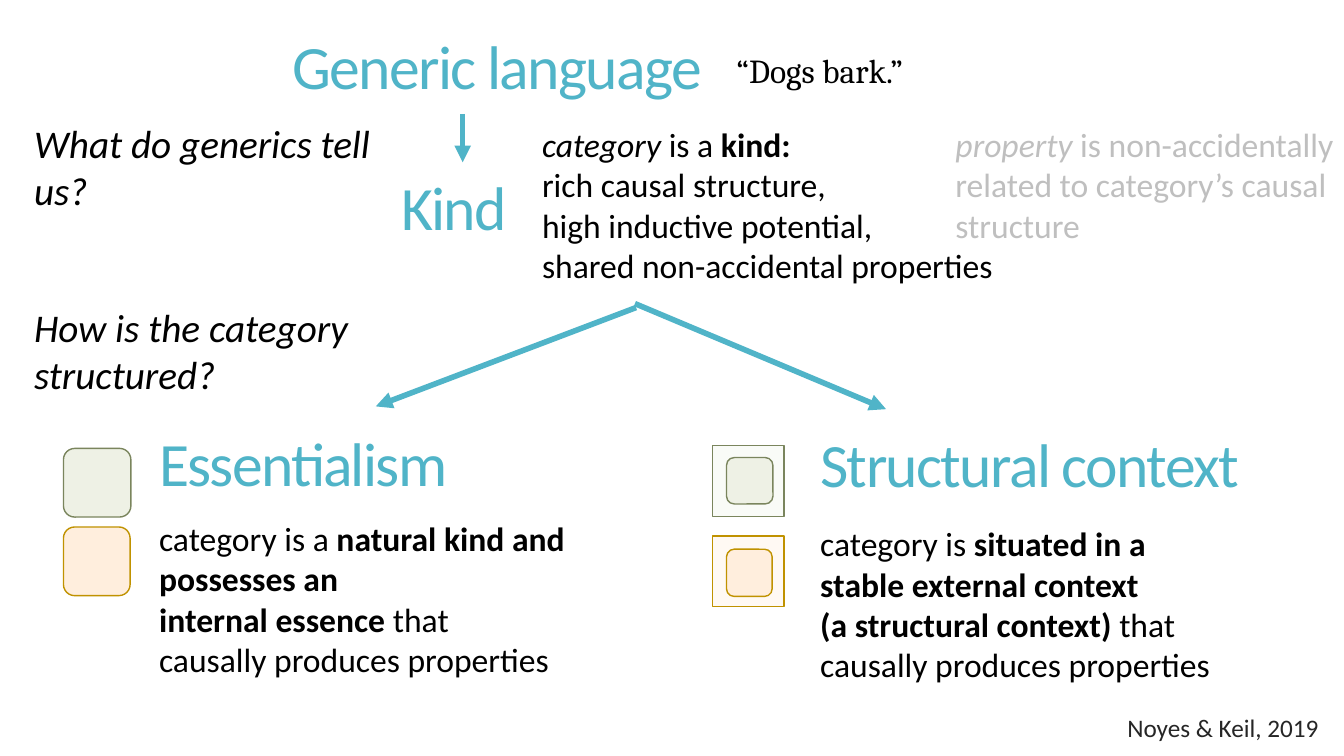
from dataclasses import dataclass
from typing import Any, NamedTuple

from lxml import etree
from pptx import Presentation
from pptx.dml.color import RGBColor
from pptx.enum import shapes, text
from pptx.oxml import ns
from pptx.util import Cm, Pt

TEAL = RGBColor(0x50, 0xB4, 0xC8)
BLACK = RGBColor(0x00, 0x00, 0x00)
CHARCOAL = RGBColor(0x26, 0x26, 0x26)
GREY = RGBColor(0xBF, 0xBF, 0xBF)
OLIVE = RGBColor(0x7A, 0x85, 0x5D)
SAGE = RGBColor(0xEE, 0xF1, 0xE5)
PALE_SAGE = RGBColor(0xF9, 0xFB, 0xF7)
GOLD = RGBColor(0xC0, 0x92, 0x00)
PEACH = RGBColor(0xFF, 0xEE, 0xDD)
PALE_PEACH = RGBColor(0xFF, 0xF9, 0xF3)

LEFT, CENTER, RIGHT = text.PP_ALIGN.LEFT, text.PP_ALIGN.CENTER, text.PP_ALIGN.RIGHT
GROW = {"auto_size": text.MSO_AUTO_SIZE.SHAPE_TO_FIT_TEXT, "word_wrap": True}
MIDDLE = {"auto_size": text.MSO_AUTO_SIZE.NONE, "word_wrap": True,
          "vertical_anchor": text.MSO_ANCHOR.MIDDLE}


class Box(NamedTuple):
    left: float
    top: float
    width: float
    height: float


class Span(NamedTuple):
    words: str
    emphasis: dict[str, bool] = {}


BOLD = {"bold": True}
ITALIC = {"italic": True}


@dataclass(frozen=True)
class Style:
    font: dict[str, Any]
    color: RGBColor
    frame: dict[str, Any]
    paragraph: dict[str, Any]
    tracking: int = 0


@dataclass(frozen=True)
class Passage:
    box: Box
    style: Style
    paragraphs: list[list[Span]]


@dataclass(frozen=True)
class Tile:
    box: Box
    preset: shapes.MSO_SHAPE
    fill: RGBColor
    outline: RGBColor


class Arrow(NamedTuple):
    start: tuple[float, float]
    end: tuple[float, float]


HEADING_FONT = {"name": "Calibri", "size": Pt(44), "bold": False}
HEADING = Style(HEADING_FONT, TEAL, MIDDLE, {"alignment": LEFT, "line_spacing": 0.85}, -120)
CENTERED = Style(HEADING_FONT, TEAL, MIDDLE, {"alignment": CENTER, "line_spacing": 0.85}, -120)
BODY = Style({"name": "Calibri", "size": Pt(24)}, BLACK, GROW, {})
FADED = Style(BODY.font, GREY, GROW, {})
QUESTION = Style({"name": "Calibri", "size": Pt(28), "italic": True}, BLACK, GROW, {})
EXAMPLE = Style({"name": "Cambria", "size": Pt(24)}, BLACK, GROW | {"word_wrap": False}, {})
CITATION = Style({"name": "Calibri", "size": Pt(18)}, CHARCOAL, {"word_wrap": True},
                 {"alignment": RIGHT, "line_spacing": 0.85})

TITLE = Passage(Box(20.42, 10.67, 12.55, 2.26), HEADING, [[Span("Structural context")]])
PASSAGES = [
    Passage(Box(7.09, -0.74, 10.87, 5.03), CENTERED, [[Span("Generic language")]]),
    Passage(Box(18.31, 1.14, 4.95, 1.27), EXAMPLE, [[Span("“Dogs bark.”")]]),
    Passage(Box(0.61, 2.87, 10.08, 1.45), QUESTION, [[Span("What do generics tell us?")]]),
    Passage(Box(9.86, 4.19, 4.7, 2.29), HEADING, [[Span("Kind")]]),
    Passage(Box(13.41, 3, 12.7, 4.37), BODY, [
        [Span("category", ITALIC), Span(" is a "), Span("kind:", BOLD)],
        [Span("rich causal structure, \nhigh inductive potential, \n"
              "shared non-accidental properties")]]),
    Passage(Box(23.83, 3, 10.06, 3.33), FADED, [
        [Span("property ", ITALIC),
         Span("is non-accidentally related to category’s causal structure")]]),
    Passage(Box(0.61, 7.52, 12.7, 1.45), QUESTION, [[Span("How is the category structured?")]]),
    Passage(Box(3.76, 10.64, 8.99, 2.29), HEADING, [[Span("Essentialism")]]),
    Passage(Box(3.76, 12.93, 10.95, 4.37), BODY, [
        [Span("category is a "),
         Span("natural kind and possesses an \ninternal essence ", BOLD),
         Span("that \ncausally produces properties")]]),
    Passage(Box(20.42, 13.06, 10.95, 4.37), BODY, [
        [Span("category is "),
         Span("situated in a stable external context \n(a structural context)", BOLD),
         Span(" that causally produces properties")]]),
    Passage(Box(15.24, 17.93, 18.24, 1.09), CITATION, [[Span("Noyes & Keil, 2019")]]),
]

ROUNDED, SQUARE = shapes.MSO_SHAPE.ROUNDED_RECTANGLE, shapes.MSO_SHAPE.RECTANGLE
TILES = [
    Tile(Box(1.6, 11.3, 1.7, 1.73), ROUNDED, SAGE, OLIVE),
    Tile(Box(1.6, 13.28, 1.68, 1.73), ROUNDED, PEACH, GOLD),
    Tile(Box(17.96, 11.23, 1.8, 1.78), SQUARE, PALE_SAGE, OLIVE),
    Tile(Box(17.96, 13.51, 1.8, 1.78), SQUARE, PALE_PEACH, GOLD),
    Tile(Box(18.31, 11.53, 1.17, 1.17), ROUNDED, SAGE, OLIVE),
    Tile(Box(18.31, 13.84, 1.15, 1.19), ROUNDED, PEACH, GOLD),
]

ARROWS = [
    Arrow((11.66, 2.87), (11.66, 4.09)),
    Arrow((16, 7.65), (22.33, 10.67 - 0.36)),
    Arrow((16.03, 7.75), (9.47, 10.24)),
]


def apply(target: Any, values: dict[str, Any]) -> None:
    for attribute, value in values.items():
        setattr(target, attribute, value)


def write_span(paragraph: Any, span: Span, style: Style) -> None:
    """Add the words as runs, with a line break at each newline."""
    for index, line in enumerate(span.words.split("\n")):
        if index:
            paragraph.add_line_break()
        if not line:
            continue
        run = paragraph.add_run()
        run.text = line
        apply(run.font, style.font | span.emphasis)
        run.font.color.rgb = style.color
        if style.tracking:
            run._r.get_or_add_rPr().set("spc", str(style.tracking))


def fill_passage(holder: Any, passage: Passage) -> None:
    apply(holder, {side: Cm(value) for side, value in passage.box._asdict().items()})
    frame = holder.text_frame
    apply(frame, passage.style.frame)
    for index, spans in enumerate(passage.paragraphs):
        paragraph = frame.add_paragraph() if index else frame.paragraphs[0]
        apply(paragraph, passage.style.paragraph)
        for span in spans:
            write_span(paragraph, span, passage.style)


def draw_tile(slide: Any, tile: Tile) -> None:
    square = slide.shapes.add_shape(tile.preset, *map(Cm, tile.box))
    square.shadow.inherit = False
    square.fill.solid()
    square.fill.fore_color.rgb = tile.fill
    square.line.color.rgb = tile.outline
    square.line.width = Pt(1)


def draw_arrow(slide: Any, arrow: Arrow) -> None:
    connector = slide.shapes.add_connector(
        shapes.MSO_CONNECTOR.STRAIGHT, *map(Cm, arrow.start + arrow.end))
    connector.line.color.rgb = TEAL
    connector.line.width = Pt(4)
    etree.SubElement(connector.line._get_or_add_ln(), ns.qn("a:tailEnd"), type="triangle")
    etree.SubElement(connector._element.spPr, ns.qn("a:effectLst"))


def main() -> None:
    deck = Presentation()
    deck.slide_width, deck.slide_height = Cm(33.87), Cm(19.05)
    slide = deck.slides.add_slide(deck.slide_layouts.get_by_name("Title Only"))
    fill_passage(slide.shapes.title, TITLE)
    for passage in PASSAGES:
        fill_passage(slide.shapes.add_textbox(0, 0, 0, 0), passage)
    for tile in TILES:
        draw_tile(slide, tile)
    for arrow in ARROWS:
        draw_arrow(slide, arrow)
    deck.save("out.pptx")


if __name__ == "__main__":
    main()
